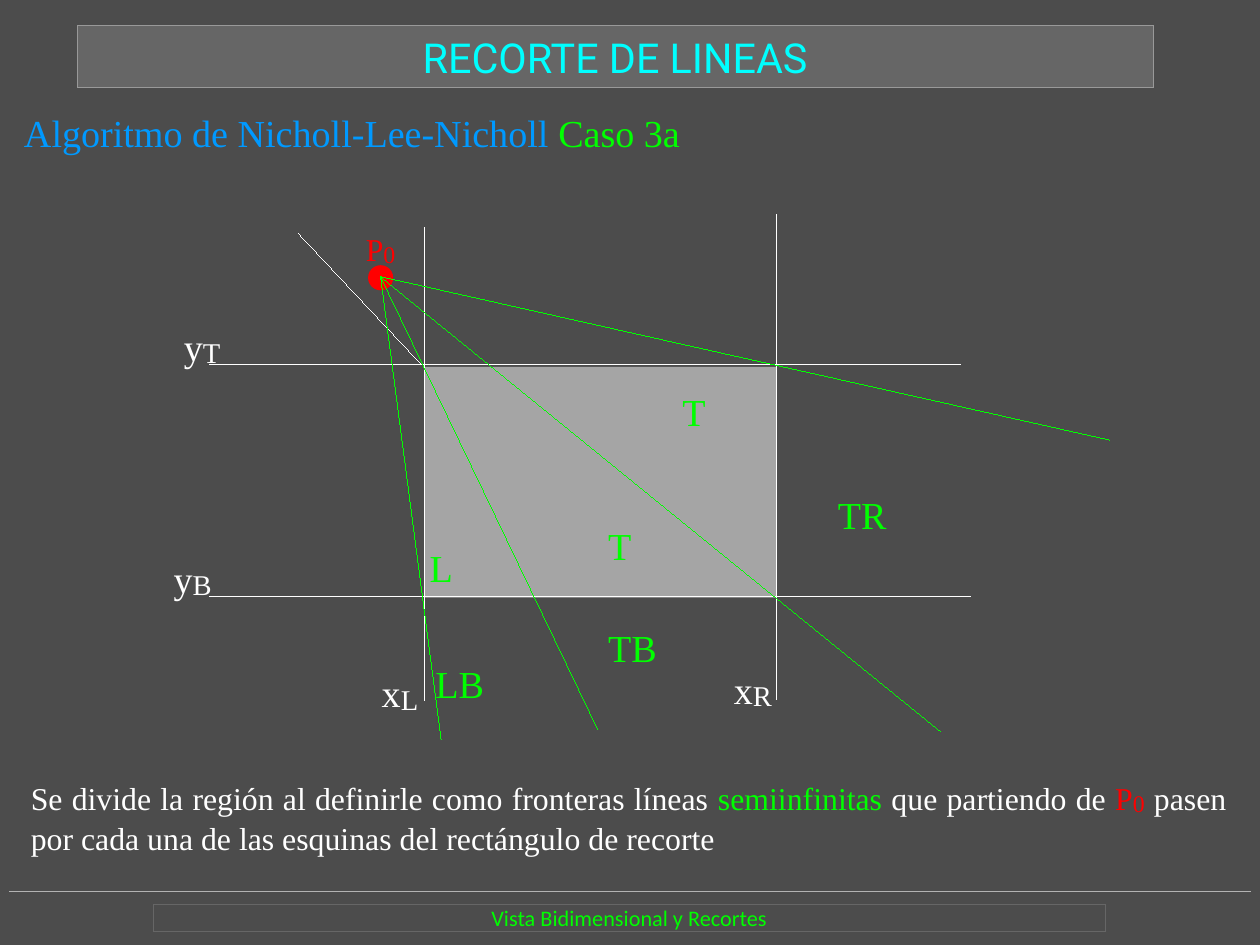
from pptx import Presentation
from pptx.dml.color import RGBColor
from pptx.enum.shapes import MSO_CONNECTOR, MSO_SHAPE
from pptx.enum.text import MSO_ANCHOR, MSO_AUTO_SIZE, PP_ALIGN
from pptx.oxml.ns import qn
from pptx.util import Inches, Pt
from lxml.etree import SubElement

COLORS = {
    "back": "4C4C4C", "bar": "666666", "edge": "999999", "rule": "B3B3B3",
    "white": "FFFFFF", "green": "00FF00", "red": "FF0000",
    "blue": "0099FF", "cyan": "00FFFF",
}
SERIF = "Times New Roman"
LEFT, RIGHT, TOP, BASE = 3.71, 6.79, 3.19, 5.22


def rgb(name):
    return RGBColor.from_string(COLORS[name])


def write(shape, runs, size=24, font=SERIF, align=PP_ALIGN.LEFT,
          anchor=MSO_ANCHOR.TOP):
    """Fill a shape with (text, color) runs; a third item is a subscript size."""
    frame = shape.text_frame
    frame.word_wrap = True
    frame.auto_size = MSO_AUTO_SIZE.NONE
    frame.vertical_anchor = anchor
    frame.margin_left = frame.margin_right = 0
    frame.margin_top = frame.margin_bottom = 0
    para = frame.paragraphs[0]
    para.alignment = align
    for text, color, *sub in runs:
        run = para.add_run()
        run.text = text
        run.font.name = font
        run.font.size = Pt(sub[0] if sub else size)
        run.font.color.rgb = rgb(color)
        if sub:
            run.font._element.set("baseline", "-5000")


def add_text(slide, box, runs, **style):
    shape = slide.shapes.add_textbox(*map(Inches, box))
    write(shape, runs, **style)


def hairline(shape, color):
    """Give a line the thinnest stroke; a zero width must be explicit."""
    shape.line.color.rgb = rgb(color)
    shape.line._get_or_add_ln().set("w", "0")


def add_line(slide, start, end, color="white"):
    line = slide.shapes.add_connector(
        MSO_CONNECTOR.STRAIGHT, *map(Inches, start + end))
    hairline(line, color)
    SubElement(line._element.spPr, qn("a:effectLst"))


def paint(shape, fill=None, edge=None, alpha=None):
    if fill:
        shape.fill.solid()
        shape.fill.fore_color.rgb = rgb(fill)
    else:
        shape.fill.background()
    if alpha:
        color = shape.fill._xPr.find(".//" + qn("a:srgbClr"))
        SubElement(color, qn("a:alpha")).set("val", str(alpha * 1000))
    if edge:
        hairline(shape, edge)
    else:
        shape.line.fill.background()


def add_shape(slide, kind, box, **style):
    shape = slide.shapes.add_shape(kind, *map(Inches, box))
    shape.shadow.inherit = False
    paint(shape, **style)
    return shape


def add_title(slide):
    title = slide.shapes.title
    title.left, title.top = Inches(0.68), Inches(0.22)
    title.width, title.height = Inches(9.41), Inches(0.55)
    paint(title, fill="bar", edge="edge")
    write(title, [("RECORTE DE LINEAS", "cyan")], size=26, font="Roboto",
          align=PP_ALIGN.CENTER, anchor=MSO_ANCHOR.MIDDLE)


def add_footer(slide):
    add_line(slide, (0.08, 7.8), (10.94, 7.8), "rule")
    box = add_shape(slide, MSO_SHAPE.RECTANGLE, (1.34, 7.91, 8.33, 0.24),
                    edge="bar")
    write(box, [("Vista Bidimensional y Recortes", "green")], size=14,
          font="Calibri", align=PP_ALIGN.CENTER, anchor=MSO_ANCHOR.MIDDLE)


def add_window(slide):
    """Draw the clip window, its four border lines and their names."""
    add_line(slide, (LEFT, 1.99), (LEFT, 6.13))
    add_line(slide, (RIGHT, 1.88), (RIGHT, 6.12))
    add_line(slide, (1.83, TOP), (8.4, TOP))
    add_line(slide, (1.83, BASE), (8.49, BASE))
    add_shape(slide, MSO_SHAPE.RECTANGLE,
              (LEFT, TOP + 0.02, RIGHT - LEFT, BASE - TOP - 0.01),
              fill="white", alpha=50)
    for axis, side, x, y in [("x", "L", 3.34, 5.76), ("x", "R", 6.42, 5.73),
                             ("y", "T", 1.61, 2.73), ("y", "B", 1.52, 4.76)]:
        add_text(slide, (x, y, 0.36, 0.46),
                 [(axis, "white"), (side, "white", 31)],
                 align=PP_ALIGN.JUSTIFY)


def add_point(slide):
    add_text(slide, (3.2, 1.93, 0.29, 0.38),
             [("P", "red"), ("0", "red", 25.9)], size=20)
    add_shape(slide, MSO_SHAPE.OVAL, (3.22, 2.32, 0.22, 0.22), fill="red")
    add_line(slide, (3.69, TOP), (2.61, 2.04))


def add_zones(slide):
    """Name the zones and draw the rays that part them."""
    for name, x, y in [("TR", 7.33, 4.3), ("TB", 5.32, 5.46),
                       ("LB", 3.81, 5.78), ("L", 3.76, 4.76),
                       ("T", 5.32, 4.57), ("T", 5.97, 3.4)]:
        add_text(slide, (x, y, 0.5, 0.4), [(name, "green")])
    for end in [(9.71, 3.85), (8.23, 6.4), (5.23, 6.38), (3.86, 6.47)]:
        add_line(slide, (3.33, 2.42), end, "green")


def main():
    deck = Presentation()
    deck.slide_width, deck.slide_height = Inches(28 / 2.54), Inches(21 / 2.54)
    slide = deck.slides.add_slide(deck.slide_layouts[5])
    slide.background.fill.solid()
    slide.background.fill.fore_color.rgb = rgb("back")

    add_footer(slide)
    add_title(slide)
    add_text(slide, (0.21, 0.96, 10.68, 0.4),
             [("Algoritmo de Nicholl-Lee-Nicholl", "blue"),
              (" Caso 3a", "green")])
    add_text(slide, (0.27, 6.73, 10.46, 0.97), [
        ("Se divide la región al definirle como fronteras líneas ", "white"),
        ("semiinfinitas", "green"),
        (" que partiendo de ", "white"),
        ("P", "red"),
        ("0", "red", 25.9),
        (" pasen por cada una de las esquinas del rectángulo de recorte",
         "white"),
    ], size=20, align=PP_ALIGN.JUSTIFY)
    add_window(slide)
    add_point(slide)
    add_zones(slide)
    deck.save("out.pptx")


if __name__ == "__main__":
    main()
